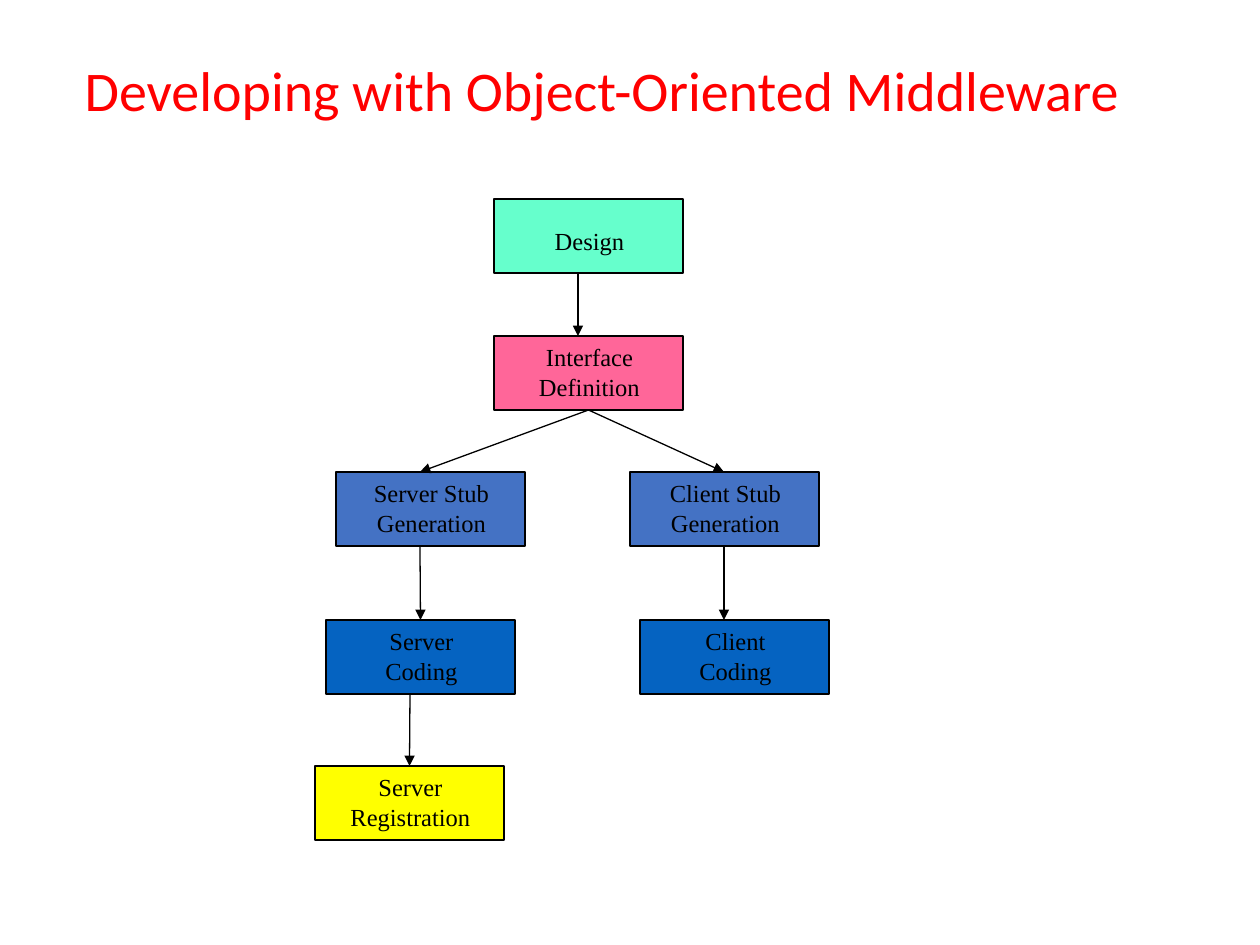
"""Build the slide on developing with object-oriented middleware."""
import lxml.etree
import pptx
import pptx.dml.color
import pptx.enum.shapes
import pptx.enum.text
import pptx.oxml.ns
import pptx.util

TITLE = "Developing with Object-Oriented Middleware"
ROW_TOPS = [199, 336, 472, 620, 766]
BOX_WIDTH, BOX_HEIGHT = 189, 74
LABEL_INSET, LABEL_WIDTH = 21, 149

# name: (label, left, row, fill, label offset, label height)
STEPS = {
    "design": ("Design", 494, 0, "66FFCC", 21, 42),
    "interface": ("Interface Definition", 494, 1, "FF6699", 0, 72),
    "server stub": ("Server Stub Generation", 336, 2, "4472C4", 0, 72),
    "client stub": ("Client Stub Generation", 630, 2, "4472C4", 0, 72),
    "client code": ("Client Coding", 640, 3, "0563C1", 0, 72),
    "server code": ("Server Coding", 326, 3, "0563C1", 0, 72),
    "registration": ("Server Registration", 315, 4, "FFFF00", 0, 72),
}
# (from step, x at start, to step, x at end); None joins the middle of the side
ARROWS = [
    ("design", 578, "interface", 578),
    ("interface", None, "server stub", 420),
    ("interface", None, "client stub", 724),
    ("server stub", 420, "server code", None),
    ("client stub", 724, "client code", 724),
    ("server code", 410, "registration", None),
]


def px(length):
    """Turn px at 126 to the inch into EMU."""
    return pptx.util.Emu(round(length * 914400 / 126))


def colour(value):
    """Turn a hex string into a colour."""
    return pptx.dml.color.RGBColor.from_string(value)


def write(frame, text, size, font, hex_colour, align=None, spacing=None):
    """Put one formatted paragraph into a text frame."""
    frame.word_wrap = True
    para = frame.paragraphs[0]
    para.alignment = align
    para.line_spacing = spacing
    span = para.add_run()
    span.text = text
    span.font.size = pptx.util.Pt(size)
    span.font.name = font
    span.font.color.rgb = colour(hex_colour)


def add_step(page, label, left, row, fill, offset, height):
    """Draw one step as a rectangle with its label."""
    top = ROW_TOPS[row]
    box = page.shapes.add_shape(
        pptx.enum.shapes.MSO_SHAPE.RECTANGLE,
        px(left), px(top), px(BOX_WIDTH), px(BOX_HEIGHT))
    box.shadow.inherit = False
    box.fill.solid()
    box.fill.fore_color.rgb = colour(fill)
    box.line.color.rgb = colour("000000")
    box.line.width = pptx.util.Pt(0.75)
    caption = page.shapes.add_textbox(
        px(left + LABEL_INSET), px(top + offset), px(LABEL_WIDTH), px(height))
    write(caption.text_frame, label, 14, "Times New Roman", "000000",
          align=pptx.enum.text.PP_ALIGN.CENTER)
    caption.text_frame.auto_size = pptx.enum.text.MSO_AUTO_SIZE.SHAPE_TO_FIT_TEXT
    return box


def add_arrow(page, source, start_x, target, end_x):
    """Draw an arrow from the bottom of one box to the top of another."""
    arrow = page.shapes.add_connector(
        pptx.enum.shapes.MSO_CONNECTOR.STRAIGHT,
        px(start_x or 0), source.top + source.height, px(end_x or 0), target.top)
    if start_x is None:
        arrow.begin_connect(source, 2)
    if end_x is None:
        arrow.end_connect(target, 0)
    arrow.line.color.rgb = colour("000000")
    arrow.line.width = pptx.util.Pt(0.75)
    properties = arrow.line._get_or_add_ln()
    lxml.etree.SubElement(properties, pptx.oxml.ns.qn("a:tailEnd"), type="triangle")
    lxml.etree.SubElement(properties.getparent(), pptx.oxml.ns.qn("a:effectLst"))


def main():
    """Build and save the deck."""
    deck = pptx.Presentation()
    deck.slide_width, deck.slide_height = px(1260), px(945)
    page = deck.slides.add_slide(deck.slide_layouts[5])
    title = page.shapes.title
    title.left, title.top, title.width, title.height = map(px, (72, 30, 1086, 127))
    write(title.text_frame, TITLE, 32, "Calibri", "FF0000",
          align=pptx.enum.text.PP_ALIGN.LEFT, spacing=0.9)
    title.text_frame.vertical_anchor = pptx.enum.text.MSO_ANCHOR.MIDDLE
    boxes = {name: add_step(page, *step) for name, step in STEPS.items()}
    for source, start_x, target, end_x in ARROWS:
        add_arrow(page, boxes[source], start_x, boxes[target], end_x)
    deck.save("out.pptx")


if __name__ == "__main__":
    main()
